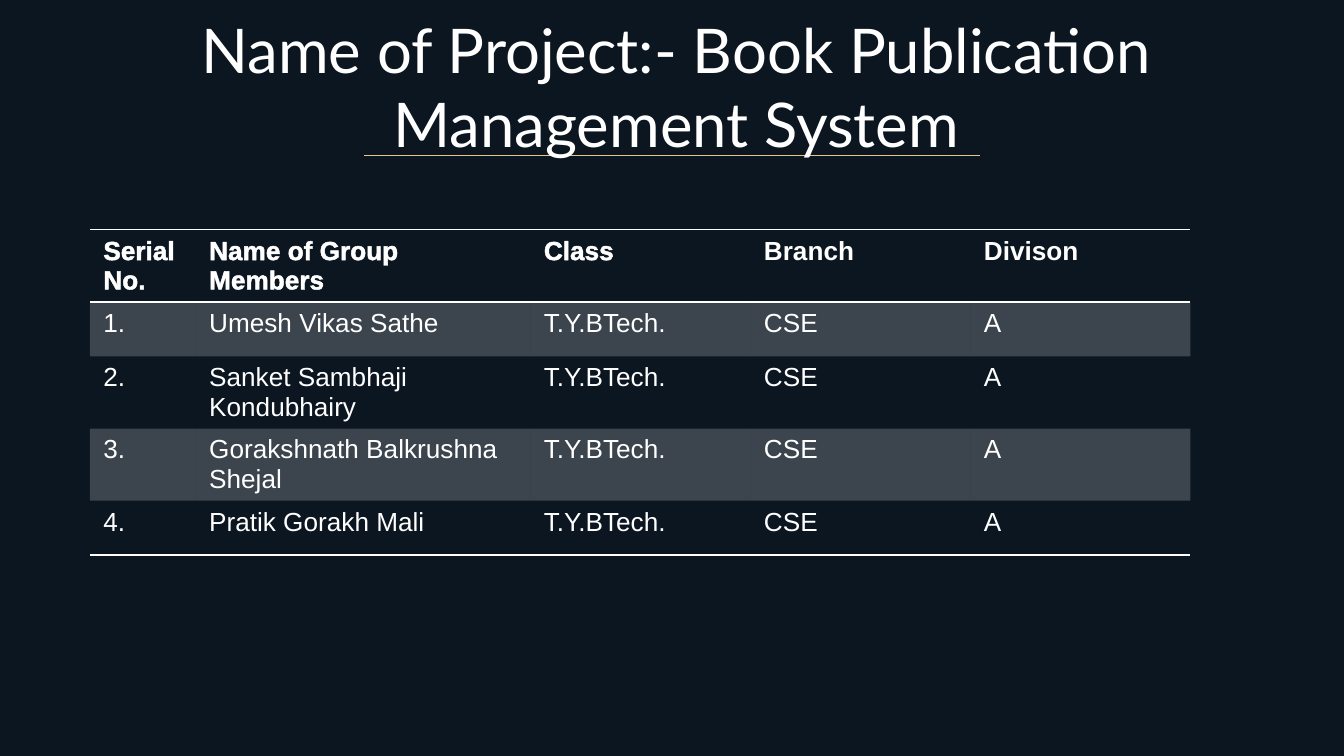
from dataclasses import dataclass

import pptx
import pptx.dml.color
import pptx.enum.shapes
import pptx.enum.text
import pptx.oxml
import pptx.oxml.ns
import pptx.util
from lxml import etree
from pptx.util import Cm, Pt

qn = pptx.oxml.ns.qn


@dataclass(frozen=True)
class Theme:
    background: str = "0C1621"
    text: str = "FFFFFF"
    accent: str = "EAC488"
    band_opacity: int = 20
    title_font: str = "Lato"
    body_font: str = "Arial"
    title_size: float = 33
    body_size: float = 14
    rule_width: float = 0.75
    border_width: float = 1


THEME = Theme()
NO_GRID_STYLE = "{2D5ABB26-0587-4C30-8999-92F81FD0307C}"

HEADERS = ["Serial No.", "Name of Group Members", "Class", "Branch", "Divison"]
OUTLINED_HEADERS = HEADERS[:3]
MEMBERS = [
    "Umesh Vikas Sathe",
    "Sanket Sambhaji Kondubhairy",
    "Gorakshnath Balkrushna Shejal",
    "Pratik Gorakh Mali",
]
COLUMN_WIDTHS = [2, 6.33, 4.16, 4.16, 4.16]
ROW_HEIGHT = 1.03


def rgb(value):
    return pptx.dml.color.RGBColor.from_string(value)


def format_font(font, name, size, bold=False):
    font.name = name
    font.size = Pt(size)
    font.bold = bold
    font.color.rgb = rgb(THEME.text)


def line_element(tag, width):
    """Return a solid line element in the text colour."""
    line = etree.Element(qn(tag), w=str(Pt(width)))
    fill = etree.SubElement(line, qn("a:solidFill"))
    etree.SubElement(fill, qn("a:srgbClr"), val=THEME.text)
    return line


def add_title(slide, text, left, top, width, height):
    title = slide.shapes.title
    title.left, title.top, title.width, title.height = left, top, width, height
    frame = title.text_frame
    frame.text = text
    frame.word_wrap = True
    frame.auto_size = pptx.enum.text.MSO_AUTO_SIZE.NONE
    frame.vertical_anchor = pptx.enum.text.MSO_ANCHOR.MIDDLE
    frame.margin_left = frame.margin_right = Cm(0.25)
    frame.margin_top = frame.margin_bottom = Cm(0.25)
    paragraph = frame.paragraphs[0]
    paragraph.alignment = pptx.enum.text.PP_ALIGN.CENTER
    format_font(paragraph.runs[0].font, THEME.title_font, THEME.title_size)


def add_title_rule(slide, left, top, width):
    rule = slide.shapes.add_connector(
        pptx.enum.shapes.MSO_CONNECTOR.STRAIGHT, left, top, left + width, top)
    rule.line.color.rgb = rgb(THEME.accent)
    rule.line.width = Pt(THEME.rule_width)
    etree.SubElement(rule.element.spPr, qn("a:effectLst"))
    # The rule lies behind the title
    slide.shapes.title.element.addprevious(rule.element)


def format_cell(cell, text, header=False, banded=False, borders=()):
    cell.text = text
    run = cell.text_frame.paragraphs[0].runs[0]
    format_font(run.font, THEME.body_font, THEME.body_size, header)
    if text in OUTLINED_HEADERS:
        run._r.get_or_add_rPr().insert(0, line_element("a:ln", THEME.rule_width))

    properties = cell._tc.get_or_add_tcPr()
    for tag in borders:
        properties.append(line_element(tag, THEME.border_width))
    if banded:
        cell.fill.solid()
        cell.fill.fore_color.rgb = rgb(THEME.text)
        color = properties.find(qn("a:solidFill")).find(qn("a:srgbClr"))
        etree.SubElement(color, qn("a:alpha"), val=str(THEME.band_opacity * 1000))
    else:
        cell.fill.background()


def add_member_table(slide, left, top, width):
    rows = [HEADERS] + [
        [f"{number}.", name, "T.Y.BTech.", "CSE", "A"]
        for number, name in enumerate(MEMBERS, 1)
    ]
    frame = slide.shapes.add_table(
        len(rows), len(HEADERS), left, top, width, Cm(ROW_HEIGHT * len(rows)))
    table = frame.table
    table._tbl.tblPr.find(qn("a:tableStyleId")).text = NO_GRID_STYLE
    table.horz_banding = False

    # Columns share the width in proportion
    for column, share in zip(table.columns, COLUMN_WIDTHS):
        column.width = int(width * share / sum(COLUMN_WIDTHS))

    borders = {0: ("a:lnT", "a:lnB"), len(rows) - 1: ("a:lnB",)}
    for row_index, values in enumerate(rows):
        table.rows[row_index].height = Cm(ROW_HEIGHT)
        for column_index, value in enumerate(values):
            format_cell(
                table.cell(row_index, column_index), value,
                header=row_index == 0,
                banded=row_index % 2 == 1,
                borders=borders.get(row_index, ()))


def main():
    presentation = pptx.Presentation()
    presentation.slide_width = Cm(25.4)
    presentation.slide_height = Cm(14.29)
    slide = presentation.slides.add_slide(presentation.slide_layouts[5])
    slide.background.fill.solid()
    slide.background.fill.fore_color.rgb = rgb(THEME.background)

    # Heading
    add_title(slide, "Name of Project:- Book Publication Management System",
              Cm(2.69), Cm(1.5), Cm(20.19), Cm(0.25))
    add_title_rule(slide, Cm(6.88), Cm(2.94), Cm(11.64))

    # Group members
    add_member_table(slide, Cm(1.7), Cm(4.34), Cm(20.8))

    presentation.save("out.pptx")


if __name__ == "__main__":
    main()
